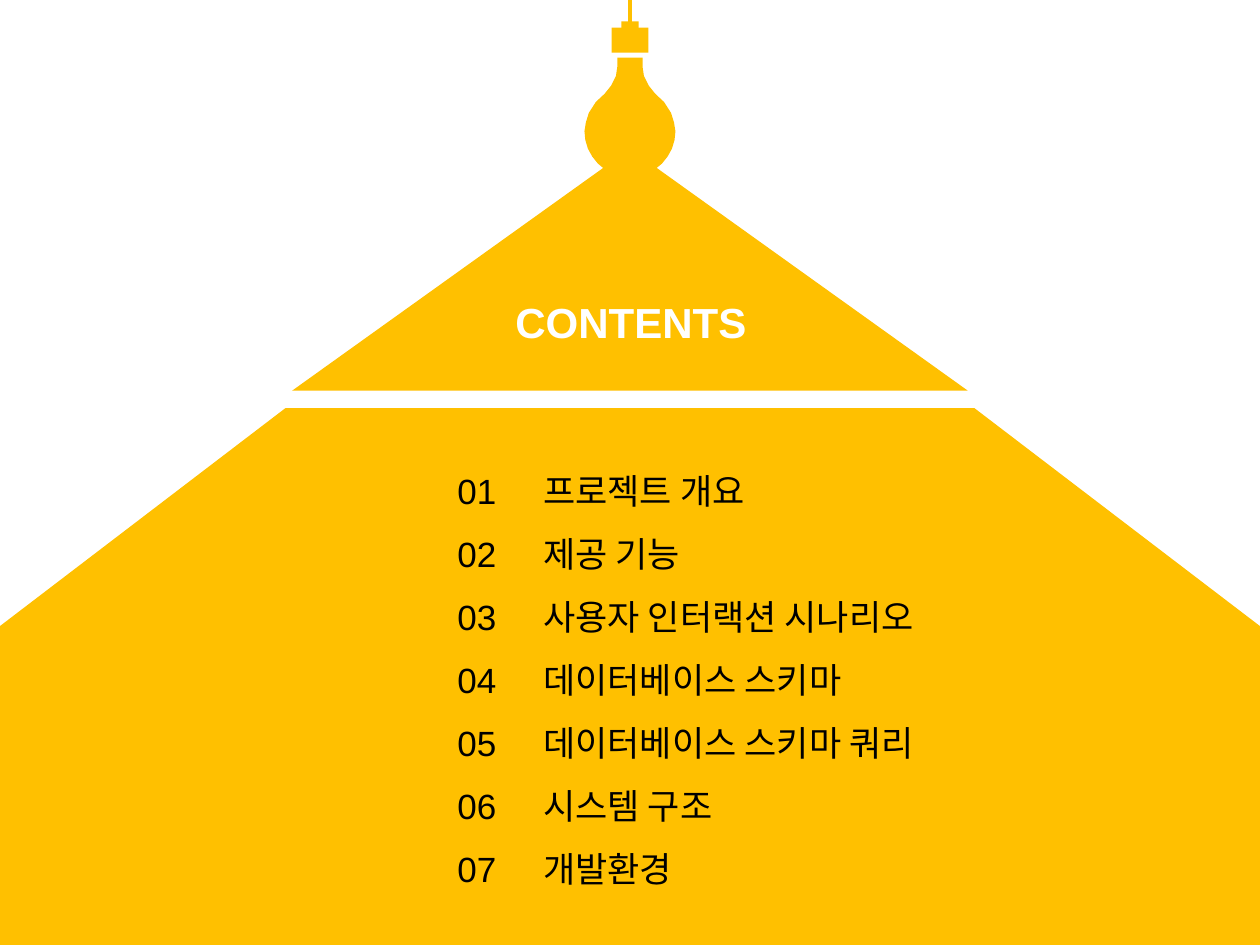
from pptx import Presentation
from pptx.dml.color import RGBColor
from pptx.enum.shapes import MSO_SHAPE
from pptx.enum.text import MSO_ANCHOR, MSO_AUTO_SIZE, PP_ALIGN
from pptx.oxml.ns import qn
from pptx.util import Pt
from lxml.etree import SubElement

COLORS = {"gold": "FFC000", "white": "FFFFFF", "black": "000000"}
FONT = "Arial"
W, H = 720, 540
CENTER = W / 2
TITLE = "CONTENTS"
ITEMS = [
    "프로젝트 개요",
    "제공 기능",
    "사용자 인터랙션 시나리오",
    "데이터베이스 스키마",
    "데이터베이스 스키마 쿼리",
    "시스템 구조",
    "개발환경",
]
TITLE_BOX = (286.5, 165.6, 148, 36)
LIST_BOX = (254.2, 252.7, 291.6, 258.5)
LIST_INDENT = 49
EAVES_TOP, EAVES_HEIGHT = 233.3, 124.5
ROOF_PARTS = [
    (MSO_SHAPE.RECTANGLE, 2.2, 0, 16.5),
    (MSO_SHAPE.RECTANGLE, 10, 12.2, 6),
    (MSO_SHAPE.RECTANGLE, 21, 15.8, 14.4),
    (MSO_SHAPE.ISOSCELES_TRIANGLE, 386, 85, 138.2),
    (MSO_SHAPE.TRAPEZOID, W, EAVES_TOP, EAVES_HEIGHT),
    (MSO_SHAPE.RECTANGLE, W, EAVES_TOP + EAVES_HEIGHT, H - EAVES_TOP - EAVES_HEIGHT),
]
DOME_HALF = [
    (7.2, 33), (7.2, 38), (8, 43.5), (10.8, 49), (14.4, 53.5), (19.5, 58.3),
    (23.5, 64.5), (25.2, 70), (26, 75), (25.5, 80), (24, 85), (21.5, 89.5),
    (18.3, 93.5), (14.4, 96.7), (10, 99), (5, 100.5), (0, 101),
]


def color(name):
    return RGBColor.from_string(COLORS[name])


def paint(shape):
    shape.shadow.inherit = False
    shape.fill.solid()
    shape.fill.fore_color.rgb = color("gold")
    shape.line.fill.background()


def place(shape, box, anchor):
    shape.left, shape.top, shape.width, shape.height = map(Pt, box)
    shape._element.getparent().append(shape._element)
    tf = shape.text_frame
    tf.word_wrap = True
    tf.auto_size = MSO_AUTO_SIZE.NONE
    tf.vertical_anchor = anchor
    tf.margin_left = tf.margin_right = Pt(7.2)
    tf.margin_top = tf.margin_bottom = Pt(3.6)
    return tf


def style(p, size, name, bold=False):
    for r in p.runs:
        r.font.name = FONT
        r.font.size = Pt(size)
        r.font.bold = bold
        r.font.color.rgb = color(name)


prs = Presentation()
prs.slide_width, prs.slide_height = Pt(W), Pt(H)
s = prs.slides.add_slide(prs.slide_layouts[1])
s.background.fill.solid()
s.background.fill.fore_color.rgb = color("white")

for kind, width, top, height in ROOF_PARTS:
    sp = s.shapes.add_shape(kind, Pt(CENTER - width / 2), Pt(top), Pt(width), Pt(height))
    if kind == MSO_SHAPE.TRAPEZOID:
        sp.adjustments[0] = 1.31
    paint(sp)

outline = [(CENTER + x, y) for x, y in DOME_HALF]
outline += [(CENTER - x, y) for x, y in reversed(DOME_HALF)]
points = [(Pt(x), Pt(y)) for x, y in outline]
dome = s.shapes.build_freeform(*points[0])
dome.add_line_segments(points[1:], close=True)
paint(dome.convert_to_shape())

tf = place(s.shapes.title, TITLE_BOX, MSO_ANCHOR.TOP)
tf.text = TITLE
p = tf.paragraphs[0]
p.alignment = PP_ALIGN.CENTER
style(p, 24, "white", bold=True)

tf = place(s.placeholders[1], LIST_BOX, MSO_ANCHOR.TOP)
tf.text = "\n".join(f"{i:02d}\t{item}" for i, item in enumerate(ITEMS, 1))
for p in tf.paragraphs:
    p.line_spacing = 1.5
    p.space_before = p.space_after = Pt(0)
    pPr = p._p.get_or_add_pPr()
    pPr.set("marL", str(Pt(LIST_INDENT)))
    pPr.set("indent", str(-Pt(LIST_INDENT)))
    SubElement(pPr, qn("a:buNone"))
    style(p, 20, "black")

prs.save("out.pptx")
